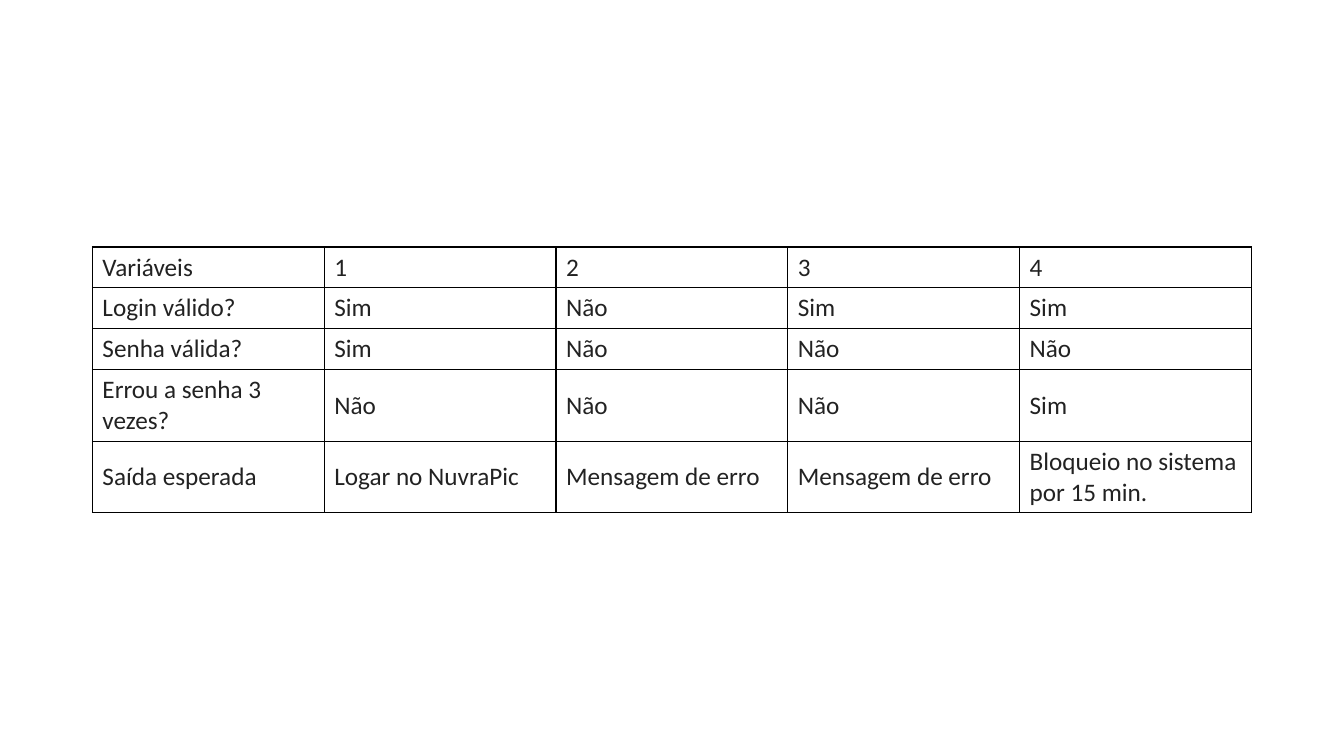
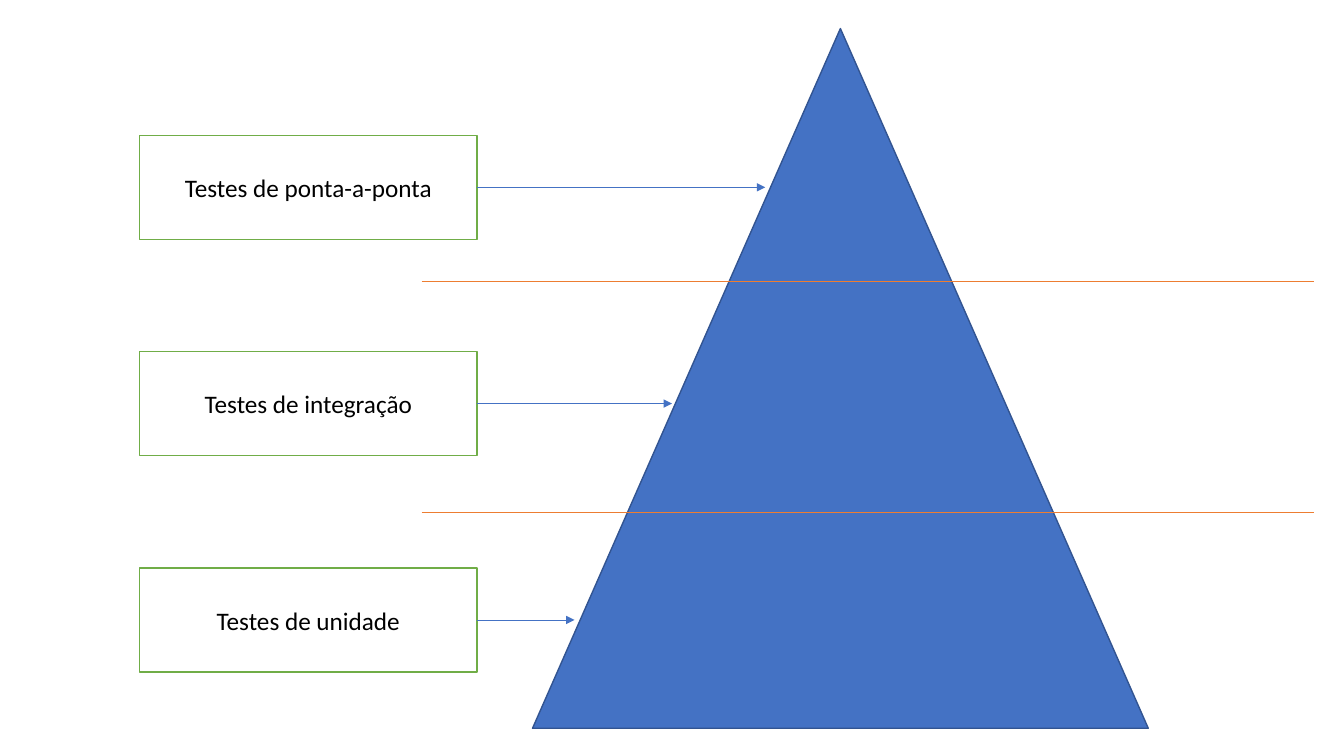
"""Build two slides on software testing: a decision table and a test pyramid."""
from lxml import etree
from pptx import Presentation
from pptx import util as u
from pptx.dml.color import RGBColor
from pptx.enum import shapes, text
from pptx.oxml.ns import qn

BLACK = RGBColor(0x00, 0x00, 0x00)
WHITE = RGBColor(0xFF, 0xFF, 0xFF)
INK = RGBColor(0x22, 0x22, 0x22)
BLUE = RGBColor(0x44, 0x72, 0xC4)
NAVY = RGBColor(0x32, 0x54, 0x91)
GREEN = RGBColor(0x70, 0xAD, 0x47)
ORANGE = RGBColor(0xED, 0x7D, 0x31)

COLS, ROWS = 160, 90

DECISIONS = [
    ["Variáveis", "1", "2", "3", "4"],
    ["Login válido?", "Sim", "Não", "Sim", "Sim"],
    ["Senha válida?", "Sim", "Não", "Não", "Não"],
    ["Errou a senha 3 vezes?", "Não", "Não", "Não", "Sim"],
    ["Saída esperada", "Logar no NuvraPic", "Mensagem de erro",
     "Mensagem de erro", "Bloqueio no sistema por 15 min."],
]

LEVELS = [
    ("Testes de ponta-a-ponta", 91.1),
    ("Testes de integração", 80),
    ("Testes de unidade", 68.4),
]


def write(tf, content, size=18, font="Calibri", color=BLACK, align=None):
    p = tf.paragraphs[0]
    p.alignment = align
    r = p.add_run()
    r.text = content
    r.font.size = u.Pt(size)
    r.font.name = font
    r.font.color.rgb = color


class Deck:
    def __init__(self):
        self.prs = Presentation()
        self.prs.slide_width = u.Inches(13.333)
        self.prs.slide_height = u.Inches(7.5)
        self.s = None

    def slide(self):
        self.s = self.prs.slides.add_slide(self.prs.slide_layouts[6])

    def x(self, col):
        return round(self.prs.slide_width * col / COLS)

    def y(self, row):
        return round(self.prs.slide_height * row / ROWS)

    def shape(self, kind, col, row, width, height, fill, line, label=None):
        sp = self.s.shapes.add_shape(
            kind, self.x(col), self.y(row), self.x(width), self.y(height))
        sp.shadow.inherit = False
        sp.fill.solid()
        sp.fill.fore_color.rgb = fill
        sp.line.color.rgb = line
        sp.line.width = u.Pt(1)
        if label:
            tf = sp.text_frame
            tf.word_wrap = True
            tf.vertical_anchor = text.MSO_ANCHOR.MIDDLE
            write(tf, label, align=text.PP_ALIGN.CENTER)

    def level_line(self, start, end, row, color, arrow=False):
        cx = self.s.shapes.add_connector(
            shapes.MSO_CONNECTOR.STRAIGHT,
            self.x(start), self.y(row), self.x(end), self.y(row))
        cx.line.color.rgb = color
        cx.line.width = u.Pt(0.5)
        props = cx._element.spPr
        if arrow:
            etree.SubElement(props.find(qn("a:ln")), qn("a:tailEnd"), type="triangle")
        etree.SubElement(props, qn("a:effectLst"))

    def border(self, cell, color, width):
        props = cell._tc.get_or_add_tcPr()
        for side in ("a:lnL", "a:lnR", "a:lnT", "a:lnB"):
            ln = etree.SubElement(props, qn(side), w=str(u.Pt(width)))
            fill = etree.SubElement(ln, qn("a:solidFill"))
            etree.SubElement(fill, qn("a:srgbClr"), val=str(color))

    def table(self, data, col, row, col_width, row_height):
        n_rows, n_cols = len(data), len(data[0])
        table = self.s.shapes.add_table(
            n_rows, n_cols, self.x(col), self.y(row),
            self.x(col_width * n_cols), self.y(row_height * n_rows)).table
        table.first_row = False
        table.horz_banding = False
        for i, values in enumerate(data):
            for j, value in enumerate(values):
                cell = table.cell(i, j)
                self.border(cell, BLACK, 1)
                cell.fill.solid()
                cell.fill.fore_color.rgb = WHITE
                cell.vertical_anchor = text.MSO_ANCHOR.MIDDLE
                write(cell.text_frame, value, color=INK)


def decision_table(deck):
    deck.slide()
    deck.table(DECISIONS, col=11, row=29.4, col_width=27.6, row_height=4.8)


def test_pyramid(deck):
    left, top, width, height, pitch = 16.6, 16.1, 40.2, 12.4, 25.75
    deck.slide()
    deck.shape(shapes.MSO_SHAPE.ISOSCELES_TRIANGLE, 63.4, 3.4, 73.3, 83.3, BLUE, NAVY)
    for row in (33.5, 61):
        deck.level_line(50.2, 156.4, row, ORANGE)
    for i, (label, tip) in enumerate(LEVELS):
        row = top + i * pitch
        deck.shape(shapes.MSO_SHAPE.RECTANGLE, left, row, width, height,
                   WHITE, GREEN, label)
        deck.level_line(left + width, tip, row + height / 2, BLUE, arrow=True)


def main():
    deck = Deck()
    decision_table(deck)
    test_pyramid(deck)
    deck.prs.save("out.pptx")


if __name__ == "__main__":
    main()
